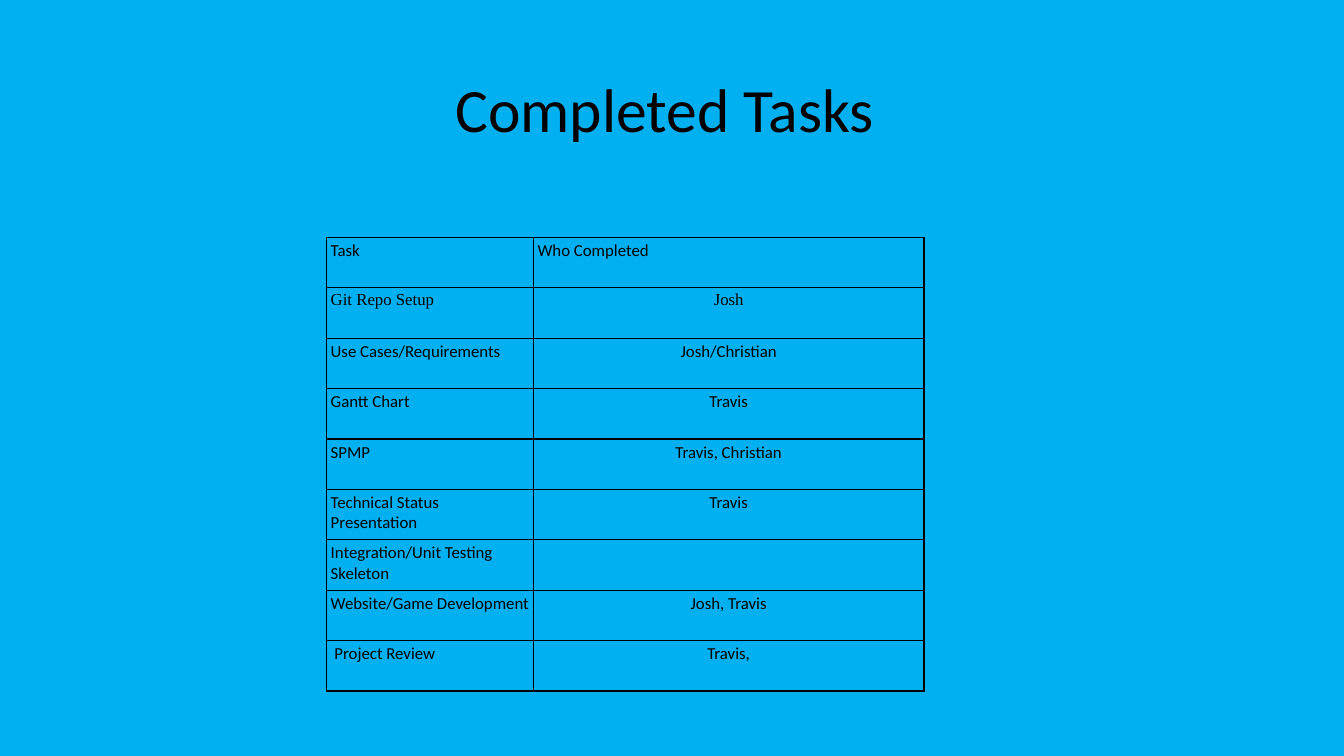
from lxml import etree
from pptx import Presentation
from pptx import util as u
from pptx.dml.color import RGBColor
from pptx.enum import text
from pptx.oxml import ns

PX = 9525  # 96 px to the inch
BLACK = "000000"


def color(hex_string):
    return RGBColor.from_string(hex_string)


def style(paragraph, size, font="Calibri"):
    paragraph.font.size = u.Pt(size)
    for run in paragraph.runs:
        run.font.size = u.Pt(size)
        run.font.name = font
        run.font.color.rgb = color(BLACK)


deck = Presentation()
deck.slide_width, deck.slide_height = 1280 * PX, 720 * PX
slide = deck.slides.add_slide(deck.slide_layouts[6])
slide.background.fill.solid()
slide.background.fill.fore_color.rgb = color("00B0F0")

# Title
title = slide.shapes.add_textbox(88 * PX, 38 * PX, 1104 * PX, 139 * PX).text_frame
title.word_wrap = True
title.vertical_anchor = text.MSO_ANCHOR.MIDDLE
title.text = "Completed Tasks "
heading = title.paragraphs[0]
heading.alignment = text.PP_ALIGN.CENTER
heading.line_spacing = 0.9
style(heading, 44)

# Task table
tasks = [
    ("Task", "Who Completed"),
    ("Git Repo Setup", "Josh"),
    ("Use Cases/Requirements", "Josh/Christian"),
    ("Gantt Chart", "Travis"),
    ("SPMP", "Travis, Christian"),
    ("Technical Status Presentation", "Travis"),
    ("Integration/Unit Testing Skeleton", ""),
    ("Website/Game Development", "Josh, Travis"),
    (" Project Review", " Travis, "),
]
COLUMN_WIDTHS = [197, 372]
ROW_HEIGHT = 48
task_table = slide.shapes.add_table(
    len(tasks), 2, 311 * PX, 226 * PX,
    sum(COLUMN_WIDTHS) * PX, len(tasks) * ROW_HEIGHT * PX).table
task_table.first_row = False
task_table.horz_banding = False
for column, width in zip(task_table.columns, COLUMN_WIDTHS):
    column.width = width * PX

for r, entries in enumerate(tasks):
    task_table.rows[r].height = ROW_HEIGHT * PX
    for c, entry in enumerate(entries):
        cell = task_table.cell(r, c)
        cell.margin_left = cell.margin_right = 4 * PX
        cell.margin_top = cell.margin_bottom = 3 * PX
        cell.text = entry
        line = cell.text_frame.paragraphs[0]
        if r > 0 and c == 1:
            line.alignment = text.PP_ALIGN.CENTER
        style(line, 12, "Times New Roman" if r == 1 else "Calibri")

        # Cell borders come before the fill in the XML
        properties = cell._tc.get_or_add_tcPr()
        for side in ("a:lnL", "a:lnR", "a:lnT", "a:lnB"):
            border = etree.SubElement(properties, ns.qn(side), w=str(u.Pt(1)))
            solid = etree.SubElement(border, ns.qn("a:solidFill"))
            etree.SubElement(solid, ns.qn("a:srgbClr"), val=BLACK)
        cell.fill.background()

deck.save("out.pptx")
